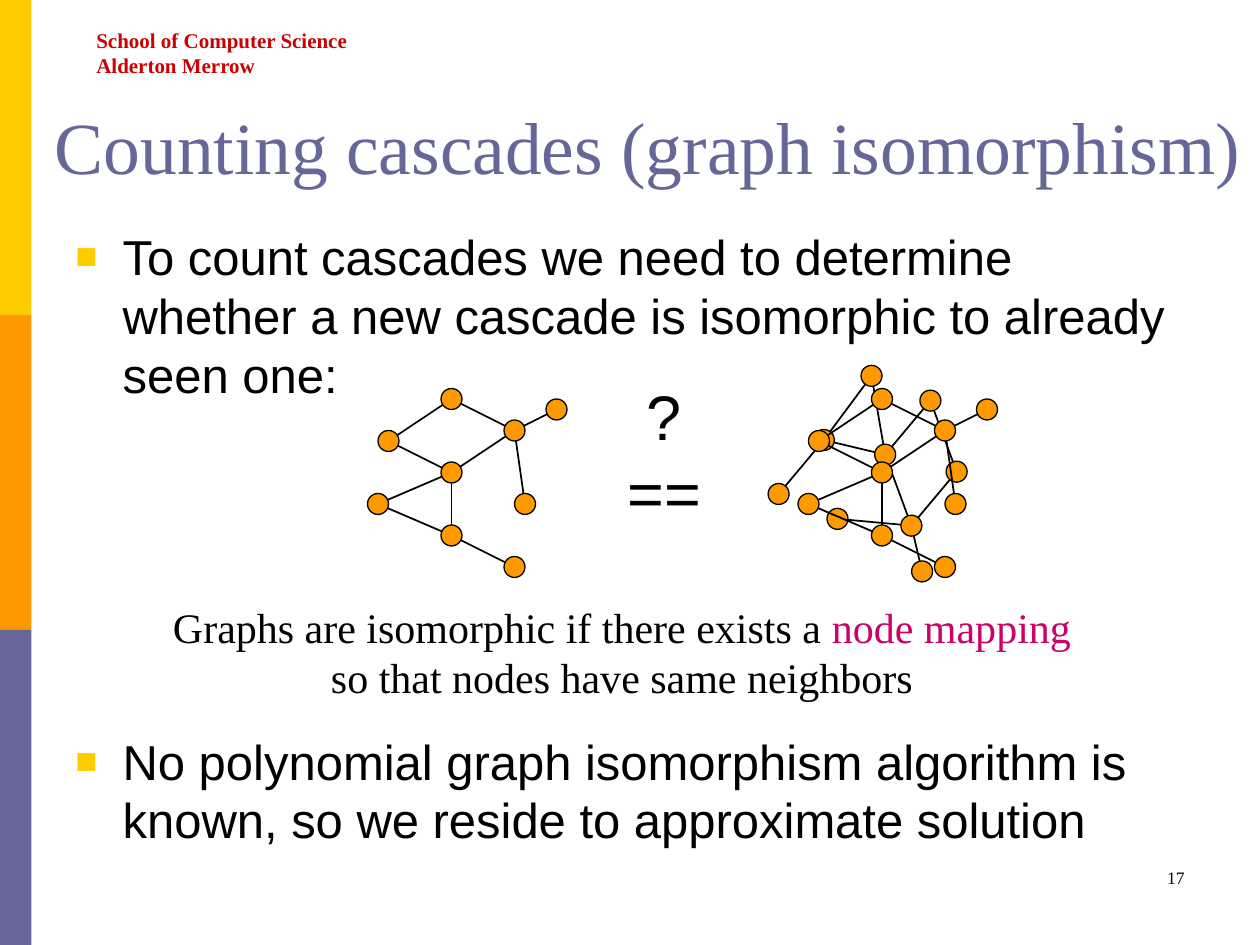
"""Build the slide on counting cascades by graph isomorphism."""
from math import cos, radians, sin

from lxml import etree
from pptx import Presentation
from pptx.dml.color import RGBColor
from pptx.enum.shapes import MSO_CONNECTOR, MSO_SHAPE
from pptx.enum.text import MSO_ANCHOR, PP_ALIGN
from pptx.oxml.ns import qn
from pptx.util import Pt

RECTANGLE, OVAL = MSO_SHAPE.RECTANGLE, MSO_SHAPE.OVAL
STRAIGHT = MSO_CONNECTOR.STRAIGHT
LEFT, CENTER, RIGHT = PP_ALIGN.LEFT, PP_ALIGN.CENTER, PP_ALIGN.RIGHT
TOP, BOTTOM = MSO_ANCHOR.TOP, MSO_ANCHOR.BOTTOM
SERIF, SANS = "Times New Roman", "Arial"
TITLE_ONLY = 5
NODE_SIZE = 12
LINE_HEIGHT = 1.2

COLORS = {
    "yellow": "FFCC00",
    "orange": "FF9900",
    "violet": "666699",
    "red": "CC0000",
    "pink": "CC0066",
    "black": "000000",
}

NODES = {
    "a": (222, 252), "b": (258, 270), "c": (294, 246),
    "d": (318, 234), "e": (258, 306), "f": (216, 288),
    "g": (258, 228), "h": (294, 324), "i": (300, 288),
}
EDGES = ["ab", "bc", "cd", "be", "fb", "fe", "ag", "gc", "eh", "ci"]


def color(name):
    """Return the named colour."""
    return RGBColor.from_string(COLORS[name])


def write(box, paragraphs, *, size, font=SERIF, ink="black", bold=False,
          align=LEFT, anchor=TOP, wrap=True):
    """Fill a box with paragraphs, each a list of texts or (text, colour) pairs."""
    frame = box.text_frame
    frame.word_wrap = wrap
    frame.vertical_anchor = anchor
    frame.margin_left = frame.margin_right = Pt(7.2)
    frame.margin_top = frame.margin_bottom = Pt(3.6)
    for index, parts in enumerate(paragraphs):
        para = frame.add_paragraph() if index else frame.paragraphs[0]
        para.alignment = align
        para.line_spacing = Pt(size * LINE_HEIGHT)
        for part in parts:
            text, shade = (part, ink) if isinstance(part, str) else part
            span = para.add_run()
            span.text = text
            span.font.name, span.font.size = font, Pt(size)
            span.font.bold = bold
            span.font.color.rgb = color(shade)


def add_text(page, place, paragraphs, **style):
    """Add a text box at the given place."""
    box = page.shapes.add_textbox(*map(Pt, place))
    write(box, paragraphs, **style)
    return box


def add_bullet(para):
    """Give a paragraph a small square bullet and a hanging indent."""
    settings = para._p.get_or_add_pPr()
    settings.set("marL", str(Pt(27)))
    settings.set("indent", str(-Pt(27)))
    shade = etree.SubElement(settings, qn("a:buClr"))
    etree.SubElement(shade, qn("a:srgbClr"), val=COLORS["yellow"])
    etree.SubElement(settings, qn("a:buSzPct"), val="75000")
    etree.SubElement(settings, qn("a:buFont"), typeface=SANS)
    etree.SubElement(settings, qn("a:buChar"), char="■")


def add_shape(shapes, kind, place, fill, outline=None):
    """Add a filled preset shape with an optional thin outline."""
    shape = shapes.add_shape(kind, *map(Pt, place))
    shape.shadow.inherit = False
    shape.fill.solid()
    shape.fill.fore_color.rgb = color(fill)
    if outline:
        shape.line.color.rgb = color(outline)
        shape.line.width = Pt(0.75)
    else:
        shape.line.fill.background()


def add_edge(shapes, start, end):
    """Join two points with a black line."""
    edge = shapes.add_connector(STRAIGHT, *map(Pt, (*start, *end)))
    edge.line.color.rgb = color("black")
    edge.line.width = Pt(1)
    etree.SubElement(edge._element.spPr, qn("a:effectLst"))


def add_graph(page, nodes):
    """Draw the cascade graph as one group, edges behind nodes."""
    shapes = page.shapes.add_group_shape().shapes
    for start, end in EDGES:
        add_edge(shapes, nodes[start], nodes[end])
    for x, y in nodes.values():
        place = (x - NODE_SIZE / 2, y - NODE_SIZE / 2, NODE_SIZE, NODE_SIZE)
        add_shape(shapes, OVAL, place, "orange", outline="black")


def place_nodes(center, degrees=0):
    """Rotate the nodes about node b and move that node to center."""
    turn = radians(degrees)
    pivot_x, pivot_y = NODES["b"]
    placed = {}
    for name, (x, y) in NODES.items():
        across, down = x - pivot_x, y - pivot_y
        placed[name] = (center[0] + across * cos(turn) - down * sin(turn),
                        center[1] + across * sin(turn) + down * cos(turn))
    return placed


def main():
    """Build and save the slide."""
    deck = Presentation()
    deck.slide_width, deck.slide_height = Pt(720), Pt(540)
    page = deck.slides.add_slide(deck.slide_layouts[TITLE_ONLY])

    for index, fill in enumerate(("yellow", "orange", "violet")):
        add_shape(page.shapes, RECTANGLE, (0, 180 * index, 18, 180), fill)
    add_text(page, (48, 12, 158, 36),
             [["School of Computer Science"], ["Alderton Merrow"]],
             size=12, ink="red", bold=True, wrap=False)

    title = page.shapes.title
    title.left, title.top, title.width, title.height = map(Pt, (24, 21.6, 720, 90))
    write(title, [["Counting cascades (graph isomorphism)"]],
          size=42, ink="violet", anchor=BOTTOM)

    body = add_text(page, (36, 126, 648, 384), [
        ["To count cascades we need to determine whether a new cascade "
         "is isomorphic to already seen one:"],
        ["No polynomial graph isomorphism algorithm is known, "
         "so we reside to approximate solution"],
    ], size=28, font=SANS)
    for para in body.text_frame.paragraphs:
        add_bullet(para)
    body.text_frame.paragraphs[1].space_before = Pt(187.5)

    add_graph(page, NODES)
    add_graph(page, place_nodes((505.8, 259.8), degrees=103.4))
    add_text(page, (91.4, 340, 528, 65), [
        ["Graphs are isomorphic if there exists a", (" node mapping", "pink")],
        ["so that nodes have same neighbors"],
    ], size=24, align=CENTER, wrap=False)
    add_text(page, (349.5, 212.4, 60, 93.6), [["?"], ["=="]],
             size=36, font=SANS, align=CENTER, wrap=False)
    add_graph(page, place_nodes((504, 270)))
    add_text(page, (516, 492, 168, 36), [["17"]], size=10, align=RIGHT)

    deck.save("out.pptx")


if __name__ == "__main__":
    main()
